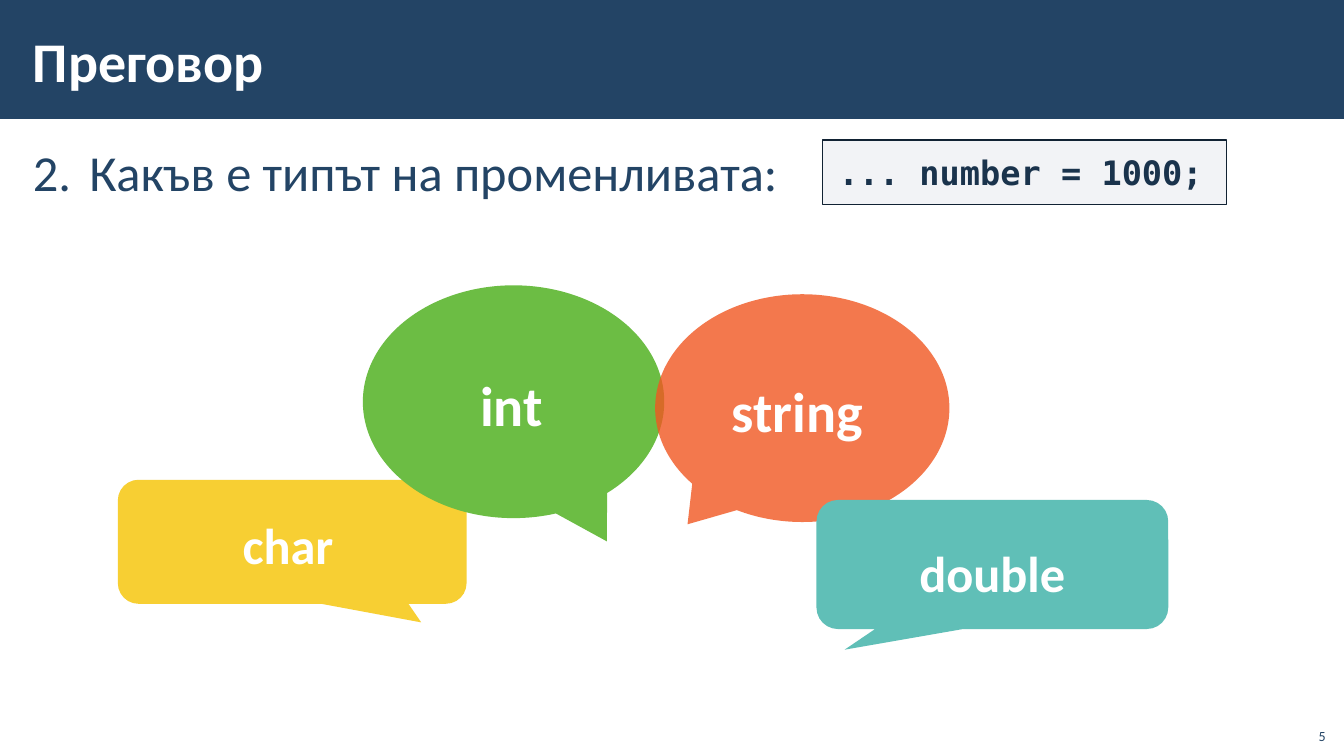
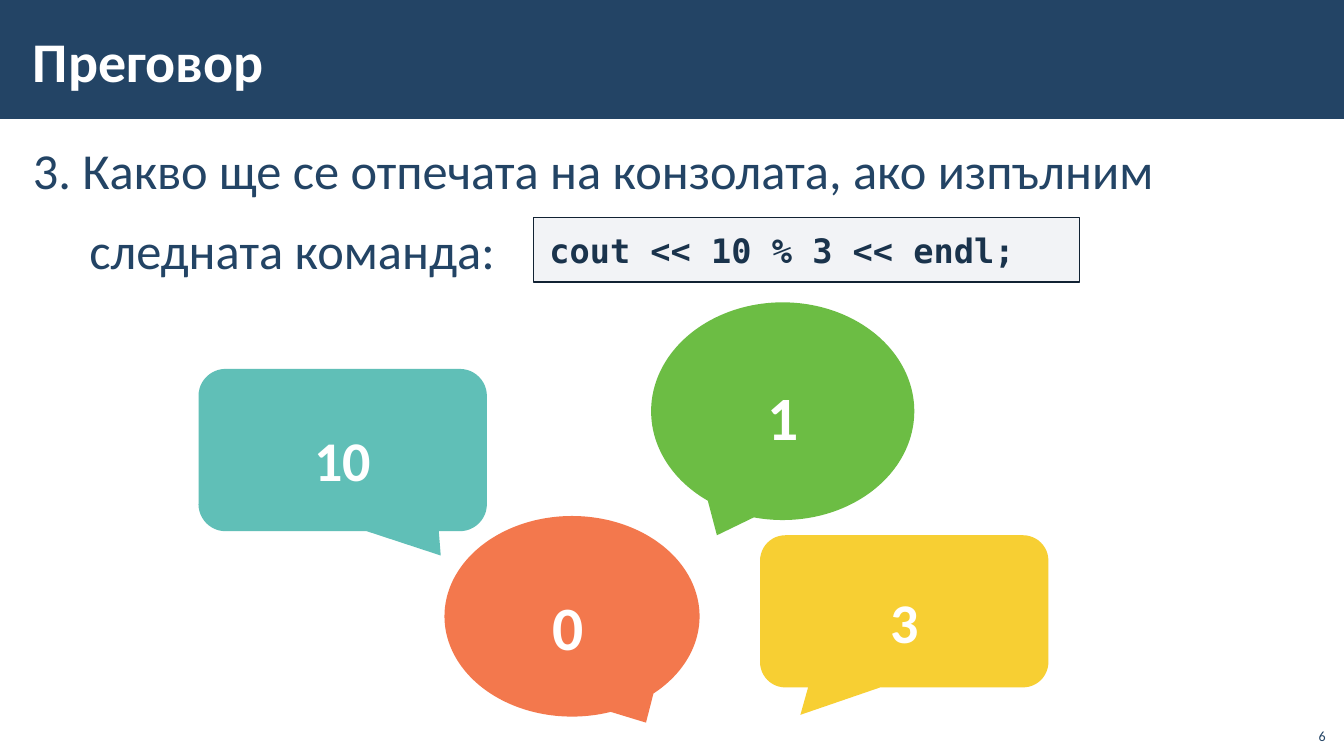
"""Build two review quiz slides with a title band, a code line and answer callouts."""
from dataclasses import dataclass
from lxml.etree import SubElement
from pptx import Presentation
from pptx.dml.color import RGBColor as RGB
from pptx.enum.shapes import MSO_SHAPE as SHAPE
from pptx.enum.text import MSO_ANCHOR as ANCHOR, PP_ALIGN as ALIGN
from pptx.oxml.ns import qn
from pptx.util import Pt


@dataclass(frozen=True)
class Theme:
    navy: str = "234465"
    white: str = "FFFFFF"
    code_ink: str = "1A334C"
    code_fill: str = "ADB4C3"
    code_edge: str = "112233"
    yellow: str = "F5C300"
    green: str = "6CBD44"
    orange: str = "F15721"
    teal: str = "60BFB7"
    sans: str = "Calibri"
    mono: str = "DejaVu Sans Mono"
    title_size: int = 40
    question_size: int = 36
    code_size: int = 24
    number_size: int = 10


theme = Theme()
hanging = 40.32
title_font = {"name": theme.sans, "size": Pt(theme.title_size), "bold": True}
question_font = {"name": theme.sans, "size": Pt(theme.question_size)}
code_font = {"name": theme.mono, "size": Pt(theme.code_size), "bold": True}
number_font = {"name": theme.sans, "size": Pt(theme.number_size)}
body_frame = {"margin_left": Pt(8.5), "margin_right": Pt(8.5), "margin_top": Pt(3), "margin_bottom": Pt(3)}
title_frame = {**body_frame, "vertical_anchor": ANCHOR.MIDDLE}
code_frame = {"margin_left": Pt(11.5), "margin_right": Pt(11.5), "margin_top": Pt(8.5),
              "margin_bottom": Pt(8.5), "vertical_anchor": ANCHOR.TOP}
number_frame = {"vertical_anchor": ANCHOR.BOTTOM}


def paint(shape, color, opacity=100):
    """Give a shape a flat fill without outline or shadow."""
    shape.shadow.inherit = False
    shape.line.fill.background()
    shape.fill.solid()
    shape.fill.fore_color.rgb = RGB.from_string(color)
    if opacity < 100:
        tint = shape.fill._xPr.find(qn("a:solidFill"))[0]
        SubElement(tint, qn("a:alpha"), val=str(opacity * 1000))


def write(shape, lines, frame_format, font_format, color, align=ALIGN.LEFT):
    """Fill a shape with one paragraph per line and return the paragraphs."""
    frame = shape.text_frame
    frame.word_wrap = True
    for name, value in frame_format.items():
        setattr(frame, name, value)
    frame.text = "\n".join(lines)
    for paragraph in frame.paragraphs:
        paragraph.alignment = align
        for run in paragraph.runs:
            for name, value in font_format.items():
                setattr(run.font, name, value)
            run.font.color.rgb = RGB.from_string(color)
    return frame.paragraphs


ROUND, OVAL = SHAPE.ROUNDED_RECTANGULAR_CALLOUT, SHAPE.OVAL_CALLOUT
quiz = [
    {
        "number": "5", "first_number": 2, "top": 95.76,
        "question": ["Какъв е типът на променливата:"],
        "code": "... number = 1000;", "code_at": (587.5, 100, 288.7, 46),
        "answers": [
            ("char", 36, ROUND, (84.2, 342.7, 249.1, 88.6), (0.37, 0.65), theme.yellow, 80, (6, 4)),
            ("int", 40, OVAL, (259.2, 203.8, 215.3, 166.3), (0.31, 0.6), theme.green, 100, (3, 3)),
            ("string", 40, OVAL, (468, 210.2, 210.2, 162.7), (-0.39, 0.51), theme.orange, 80, (7, 3)),
            ("double", 36, ROUND, (583.2, 357.1, 251.3, 92.2), (-0.42, 0.66), theme.teal, 100, (0, 11)),
        ],
    },
    {
        "number": "6", "first_number": None, "top": 94.32,
        "question": ["3. Какво ще се отпечата на конзолата, ако изпълним", "следната команда:"],
        "code": "cout << 10 % 3 << endl;", "code_at": (380.9, 155.5, 390.2, 46),
        "answers": [
            ("10", 40, ROUND, (141.8, 263.5, 206, 115.9), (0.34, 0.65), theme.teal, 100, (0, 13)),
            ("1", 44, OVAL, (465.1, 216, 188, 155.5), (-0.25, 0.57), theme.green, 100, (0, 6)),
            ("3", 40, ROUND, (542.9, 382.3, 206, 108.7), (-0.36, 0.68), theme.yellow, 80, (0, 14)),
            ("0", 44, OVAL, (317.5, 368.6, 182.2, 143.3), (0.29, 0.53), theme.orange, 80, (6, 13)),
        ],
    },
]

prs = Presentation()
prs.slide_width, prs.slide_height = Pt(960), Pt(540)

for page in quiz:
    slide = prs.slides.add_slide(prs.slide_layouts[6])
    shapes = slide.shapes

    band = shapes.add_shape(SHAPE.RECTANGLE, 0, 0, prs.slide_width, Pt(85))
    paint(band, theme.navy)

    question = shapes.add_textbox(Pt(15), Pt(page["top"]), Pt(930), Pt(408))
    first, *rest = write(question, page["question"], body_frame, question_font, theme.navy)
    for paragraph in (first, *rest):
        paragraph.line_spacing = 1.05
        paragraph.space_after = Pt(6)
    for paragraph in rest:
        paragraph.space_before = Pt(6)
        paragraph._p.get_or_add_pPr().set("marL", str(Pt(hanging)))
    if page["first_number"]:
        numbering = first._p.get_or_add_pPr()
        numbering.set("marL", str(Pt(hanging)))
        numbering.set("indent", str(-Pt(hanging)))
        SubElement(numbering, qn("a:buFont"), typeface="+mj-lt")
        SubElement(numbering, qn("a:buAutoNum"), type="arabicPeriod", startAt=str(page["first_number"]))

    code = shapes.add_shape(SHAPE.RECTANGLE, *map(Pt, page["code_at"]))
    paint(code, theme.code_fill, 15)
    code.line.color.rgb = RGB.from_string(theme.code_edge)
    code.line.width = Pt(1)
    write(code, [page["code"]], code_frame, code_font, theme.code_ink)

    title = shapes.add_textbox(Pt(15), Pt(8), Pt(748), Pt(70))
    write(title, ["Преговор"], title_frame, title_font, theme.white)

    for answer, size, outline, place, tail, color, opacity, (right, top) in page["answers"]:
        callout = shapes.add_shape(outline, *map(Pt, place))
        callout.adjustments[0], callout.adjustments[1] = tail
        paint(callout, color, opacity)
        answer_frame = {"margin_left": 0, "margin_right": Pt(right), "margin_top": Pt(top),
                        "margin_bottom": 0, "vertical_anchor": ANCHOR.MIDDLE}
        write(callout, [answer], answer_frame, {**title_font, "size": Pt(size)}, theme.white, ALIGN.CENTER)

    page_number = shapes.add_textbox(Pt(925), Pt(512.5), Pt(29), Pt(23))
    write(page_number, [page["number"]], number_frame, number_font, theme.navy, ALIGN.RIGHT)

prs.save("out.pptx")
